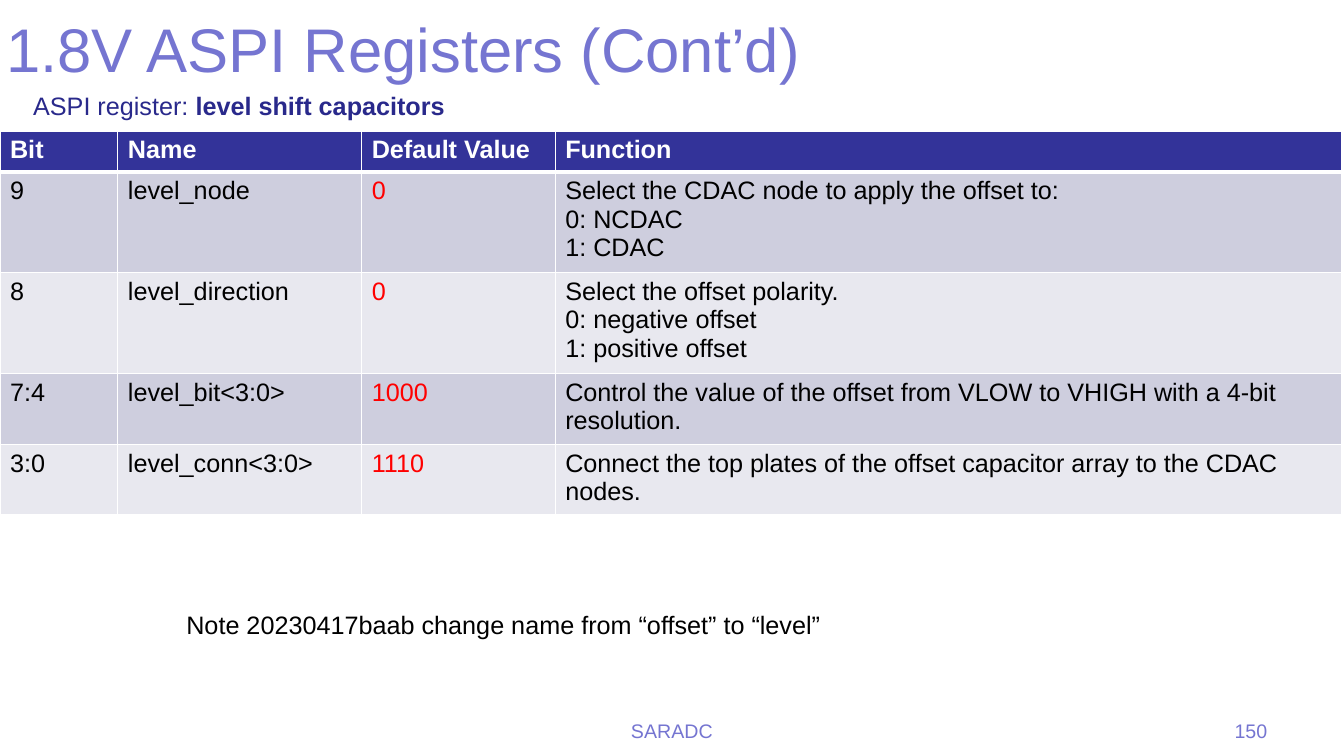
from lxml import etree
from pptx import Presentation
from pptx.dml.color import RGBColor
from pptx.enum.text import MSO_ANCHOR, MSO_AUTO_SIZE, PP_ALIGN
from pptx.oxml.ns import qn
from pptx.util import Pt

LEFT, CENTER, RIGHT = PP_ALIGN.LEFT, PP_ALIGN.CENTER, PP_ALIGN.RIGHT
TOP = MSO_ANCHOR.TOP
FIT_SHAPE = MSO_AUTO_SIZE.SHAPE_TO_FIT_TEXT

WHITE, BLACK, RED = "FFFFFF", "000000", "FF0000"
LAVENDER, NAVY, HEADER = "7575D1", "29298B", "333399"
BANDS = ("CECEDE", "E8E8EF")

COLUMN_WIDTHS = (84.2, 174.2, 138.2, 562)
ROW_HEIGHT = 29.2
HEADINGS = ("Bit", "Name", "Default Value", "Function")
REGISTERS = (
    ("9", "level_node", "0",
     ("Select the CDAC node to apply the offset to:", "0: NCDAC", "1: CDAC")),
    ("8", "level_direction", "0",
     ("Select the offset polarity.", "0: negative offset", "1: positive offset")),
    ("7:4", "level_bit<3:0>", "1000",
     ("Control the value of the offset from VLOW to VHIGH with a 4-bit resolution.",)),
    ("3:0", "level_conn<3:0>", "1110",
     ("Connect the top plates of the offset capacitor array to the CDAC nodes.",)),
)


def color(value):
    return RGBColor.from_string(value)


def add_span(para, text, size, ink, bold=False):
    span = para.add_run()
    span.text = text
    span.font.name = "Arial"
    span.font.size = Pt(size)
    span.font.bold = bold
    span.font.color.rgb = color(ink)


def add_text(page, box, spans, size, ink, align=LEFT, wrap=True, insets=(7.2, 3.6)):
    frame = page.shapes.add_textbox(*map(Pt, box)).text_frame
    frame.word_wrap = wrap
    frame.vertical_anchor = TOP
    frame.margin_left, frame.margin_top = map(Pt, insets)
    if not wrap:
        frame.auto_size = FIT_SHAPE
    para = frame.paragraphs[0]
    para.alignment = align
    for text, bold in spans:
        add_span(para, text, size, ink, bold)


def set_borders(cell, top, bottom):
    properties = cell._tc.get_or_add_tcPr()
    widths = {"a:lnL": 1, "a:lnR": 1, "a:lnT": top, "a:lnB": bottom}
    for position, (tag, width) in enumerate(widths.items()):
        line = etree.Element(qn(tag), w=str(Pt(width)))
        fill = etree.SubElement(line, qn("a:solidFill"))
        etree.SubElement(fill, qn("a:srgbClr"), val=WHITE)
        properties.insert(position, line)


def fill_cell(cell, lines, ink, fill, bold=False, top=1, bottom=1):
    cell.fill.solid()
    cell.fill.fore_color.rgb = color(fill)
    set_borders(cell, top, bottom)
    frame = cell.text_frame
    for index, text in enumerate(lines):
        para = frame.add_paragraph() if index else frame.paragraphs[0]
        add_span(para, text, 18, ink, bold)


def add_heading(page, left, top):
    add_text(page, (left + 1.4, top, 864, 90), [("1.8V ASPI Registers (Cont’d)", False)],
             44, LAVENDER, insets=(3, 8))
    add_text(page, (left + 16.6, top + 61.2, 314.6, 29),
             [("ASPI register: ", False), ("level shift capacitors", True)],
             18, NAVY, wrap=False)


def add_register_table(page, left, top):
    row_count = len(REGISTERS) + 1
    box = (left, top, sum(COLUMN_WIDTHS), ROW_HEIGHT * row_count)
    table = page.shapes.add_table(row_count, len(HEADINGS), *map(Pt, box)).table
    for column, width in zip(table.columns, COLUMN_WIDTHS):
        column.width = Pt(width)
    for row in table.rows:
        row.height = Pt(ROW_HEIGHT)
    for column, heading in enumerate(HEADINGS):
        fill_cell(table.cell(0, column), [heading], WHITE, HEADER, True, bottom=3)
    for row, (bit, name, default, function) in enumerate(REGISTERS, 1):
        band = BANDS[(row - 1) % 2]
        contents = (([bit], BLACK), ([name], BLACK), ([default], RED), (function, BLACK))
        for column, (lines, ink) in enumerate(contents):
            fill_cell(table.cell(row, column), lines, ink, band, top=3 if row == 1 else 1)


def add_note(page, left, top):
    add_text(page, (left, top, 476.6, 29),
             [("Note 20230417baab change name from “offset” to “level”", False)],
             18, BLACK, wrap=False)


def add_footer(page, left, top):
    add_text(page, (left + 296, top, 368, 30), [("SARADC", False)], 14, LAVENDER, CENTER)
    add_text(page, (left + 688.3, top, 224, 30), [("150", False)], 14, LAVENDER, RIGHT)


def main():
    deck = Presentation()
    deck.slide_width, deck.slide_height = Pt(960), Pt(540)
    page = deck.slides.add_slide(deck.slide_layouts[6])
    add_heading(page, 0, 0)
    add_footer(page, 0, 510)
    add_register_table(page, 0, 93.6)
    add_note(page, 126, 432)
    deck.save("out.pptx")


if __name__ == "__main__":
    main()
